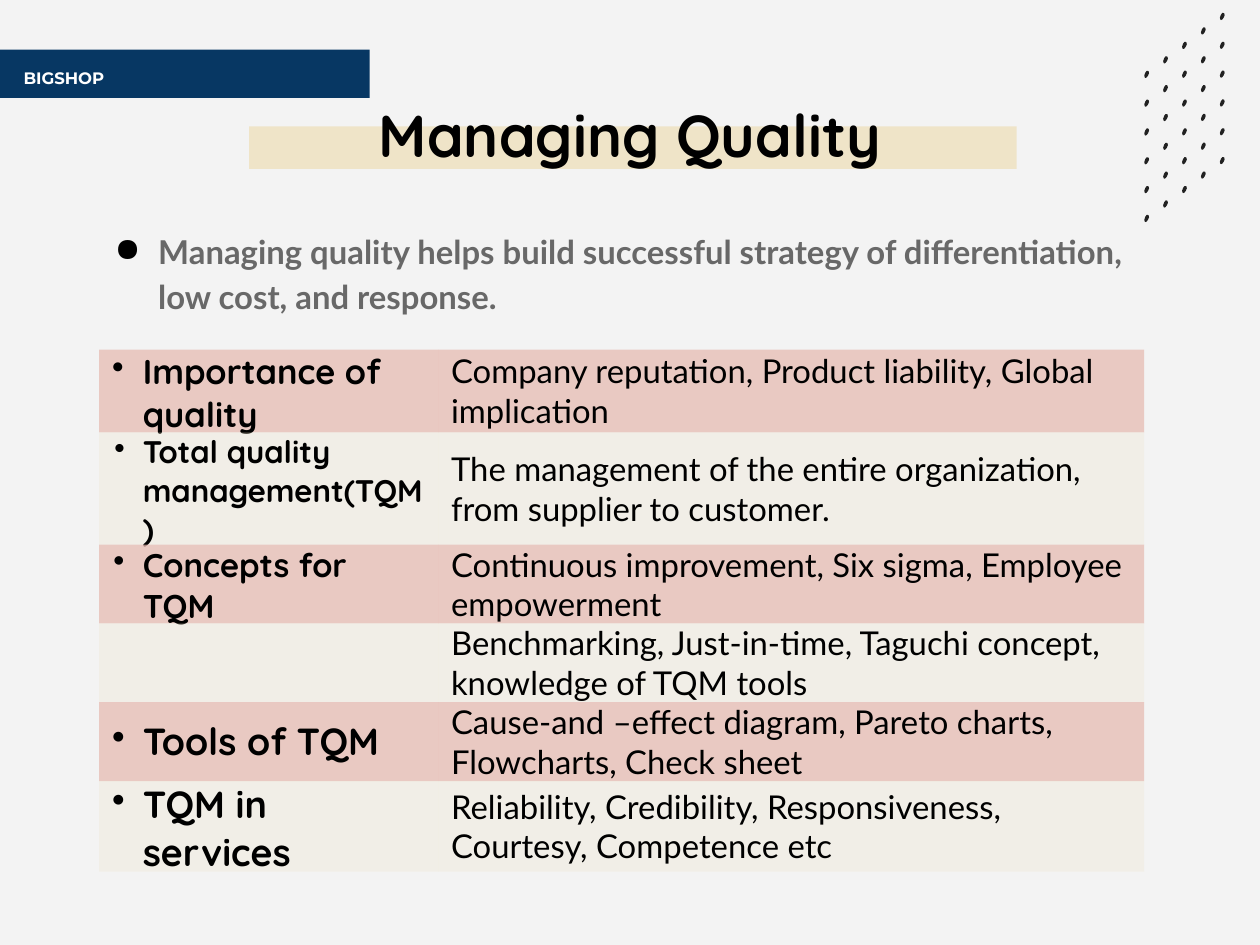
from lxml import etree
from pptx import Presentation
from pptx.dml.color import RGBColor
from pptx.enum.shapes import MSO_SHAPE as SHAPE
from pptx.enum.text import MSO_ANCHOR as ANCHOR, PP_ALIGN as ALIGN
from pptx.oxml.ns import qn
from pptx.util import Inches, Pt

W, H = Inches(10.67), Inches(8)
C = {"bg": "F3F3F3", "navy": "073763", "sand": "EFE4C8", "rose": "E6B8AF",
     "ink": "000000", "grey": "686868", "dot": "212121", "white": "FFFFFF"}
NO_STYLE = "{2D5ABB26-0587-4C30-8999-92F81FD0307C}"
DOT = [(30, 0), (20, 0), (9, 15), (0, 40), (4, 56), (10, 60),
       (20, 56), (32, 40), (40, 20), (37, 4)]
ROWS = [
    ("Importance of quality", 21, 0.26,
     "Company reputation, Product liability, Global implication"),
    ("Total quality management(TQM)", 19, 0.24,
     "The management of the entire organization, from supplier to customer."),
    ("Concepts for TQM", 20, 0.25,
     "Continuous improvement, Six sigma, Employee empowerment"),
    ("", 20, 0.25,
     "Benchmarking, Just-in-time, Taguchi concept, knowledge of TQM tools"),
    ("Tools of TQM", 23, 0.27,
     "Cause-and –effect diagram, Pareto charts, Flowcharts, Check sheet"),
    ("TQM in services", 23, 0.27,
     "Reliability, Credibility, Responsiveness, Courtesy, Competence etc"),
]


def across(share):
    """Turn a percentage of the slide width into a length."""
    return int(W * share / 100)


def down(share):
    """Turn a percentage of the slide height into a length."""
    return int(H * share / 100)


def area(x, y, w, h):
    """Turn four percentages into left, top, width and height."""
    return across(x), down(y), across(w), down(h)


def paint(s, color):
    """Give a shape a flat fill without line or shadow."""
    s.shadow.inherit = False
    s.fill.solid()
    s.fill.fore_color.rgb = RGBColor.from_string(C[color])
    s.line.fill.background()


def add_bar(shapes, color, *place):
    """Add a plain rectangle."""
    paint(shapes.add_shape(SHAPE.RECTANGLE, *area(*place)), color)


def add_run(p, text, size, font, color="ink", bold=False):
    """Add one formatted run to a paragraph."""
    r = p.add_run()
    r.text = text
    r.font.size, r.font.name, r.font.bold = Pt(size), font, bold
    r.font.color.rgb = RGBColor.from_string(C[color])


def add_bullet(p, char, margin, hang):
    """Give a paragraph a black bullet with a hanging indent."""
    pPr = p._p.get_or_add_pPr()
    pPr.set("marL", str(Inches(margin)))
    pPr.set("indent", str(-Inches(hang)))
    clr = etree.SubElement(pPr, qn("a:buClr"))
    etree.SubElement(clr, qn("a:srgbClr"), val=C["ink"])
    etree.SubElement(pPr, qn("a:buChar"), char=char)


def add_text(shapes, place, inset=0.12, anchor=ANCHOR.TOP):
    """Add a wrapping text box and return its first paragraph."""
    tf = shapes.add_textbox(*area(*place)).text_frame
    tf.word_wrap, tf.vertical_anchor = True, anchor
    tf.margin_left = tf.margin_right = Inches(inset)
    tf.margin_top = tf.margin_bottom = Inches(inset)
    return tf.paragraphs[0]


def style_cell(cell, color, opacity):
    """Set the margins and the translucent fill of a cell."""
    cell.vertical_anchor = ANCHOR.MIDDLE
    cell.margin_left = cell.margin_right = Inches(0.11)
    cell.margin_top = cell.margin_bottom = 0
    cell.fill.solid()
    cell.fill.fore_color.rgb = RGBColor.from_string(C[color])
    clr = cell._tc.tcPr.find(".//" + qn("a:srgbClr"))
    etree.SubElement(clr, qn("a:alpha"), val=str(opacity * 1000))


def add_topics(shapes):
    """Add the table of quality topics."""
    place = area(7.87, 37, 82.94, 6.38 * len(ROWS))
    table = shapes.add_table(len(ROWS), 2, *place).table
    table.first_row = table.horz_banding = False
    table._tbl.tblPr.find(qn("a:tableStyleId")).text = NO_STYLE
    for col, share in zip(table.columns, (26.9, 56.04)):
        col.width = across(share)
    for i, (topic, size, hang, detail) in enumerate(ROWS):
        left, right = table.cell(i, 0), table.cell(i, 1)
        for cell in (left, right):
            style_cell(cell, *(("sand", 28) if i % 2 else ("rose", 71)))
        if topic:
            p = left.text_frame.paragraphs[0]
            add_bullet(p, "•", 0.26, hang)
            add_run(p, topic, size, "Quicksand", bold=True)
        add_run(right.text_frame.paragraphs[0], detail, 20, "Lato")


def add_dots(shapes, cols=5, rows=6):
    """Add the slanted grid of small drops."""
    group = shapes.add_group_shape()
    for col in range(cols):
        for row in range(rows):
            ff = group.shapes.build_freeform(*DOT[0], scale=Inches(1) / 1000)
            ff.add_line_segments(DOT[1:], close=True)
            x = across(90.82 + 1.5 * col)
            y = down(7.5 - 1.53 * col + 3.05 * row)
            paint(ff.convert_to_shape(x, y), "dot")


def main():
    """Build the slide and save it."""
    prs = Presentation()
    prs.slide_width, prs.slide_height = W, H
    slide = prs.slides.add_slide(prs.slide_layouts[6])
    slide.background.fill.solid()
    slide.background.fill.fore_color.rgb = RGBColor.from_string(C["bg"])
    shapes = slide.shapes

    add_bar(shapes, "sand", 19.78, 13.38, 60.92, 4.5)
    p = add_text(shapes, (7.87, 8.63, 84.25, 11.13), anchor=ANCHOR.MIDDLE)
    p.alignment = ALIGN.CENTER
    add_run(p, "Managing Quality", 36, "Quicksand", bold=True)

    p = add_text(shapes, (7.87, 22.38, 84.25, 12.88))
    add_bullet(p, "●", 0.38, 0.37)
    p.line_spacing = 1.15
    add_run(p, "Managing quality helps build successful strategy of "
               "differentiation, low cost, and response.",
            20, "Lato", "grey", True)

    add_topics(shapes)
    add_dots(shapes)

    add_bar(shapes, "navy", 0, 5.25, 29.33, 5.13)
    p = add_text(shapes, (1.87, 6.38, 25.49, 2.13), inset=0)
    p.line_spacing = 1.4
    add_run(p, "BIGSHOP", 10.1, "Montserrat", "white", True)
    prs.save("out.pptx")


if __name__ == "__main__":
    main()
